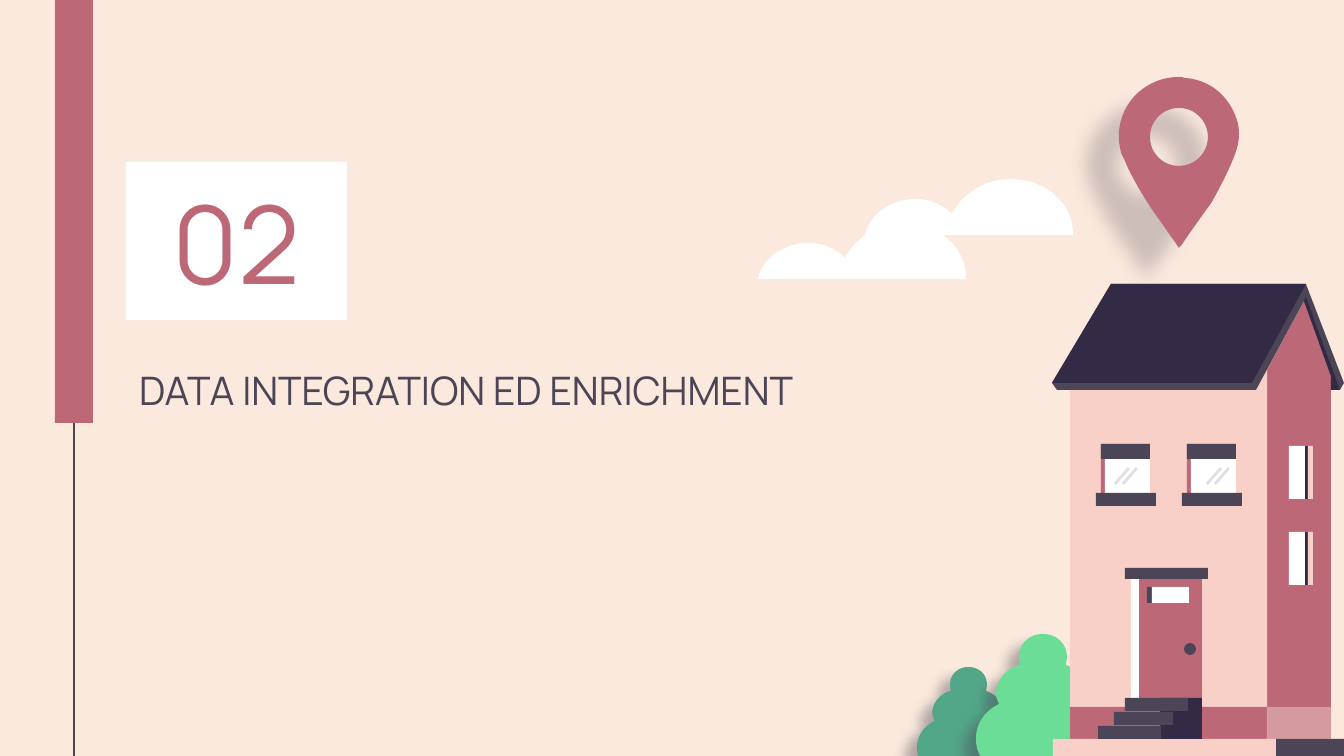
"""Build the section slide with a house, bushes, clouds and a map pin."""
from dataclasses import dataclass

from lxml import etree
from pptx import Presentation
from pptx.dml.color import RGBColor
from pptx.enum.shapes import MSO_CONNECTOR, MSO_SHAPE
from pptx.enum.text import MSO_ANCHOR, PP_ALIGN
from pptx.oxml.ns import qn
from pptx.util import Emu, Pt

RECT, OVAL = MSO_SHAPE.RECTANGLE, MSO_SHAPE.OVAL
STRAIGHT = MSO_CONNECTOR.STRAIGHT
TOP, MIDDLE = MSO_ANCHOR.TOP, MSO_ANCHOR.MIDDLE
LEFT, CENTER = PP_ALIGN.LEFT, PP_ALIGN.CENTER
EMU_PER_PX = 914400 / 134.4
TITLE_ONLY = 5
CURVE_STEPS = 12


@dataclass(frozen=True)
class Theme:
    """Colours, font and type sizes."""
    cream: str = "FAE9DC"
    rose: str = "BD6877"
    blush: str = "F9D0C8"
    slate: str = "4C4557"
    night: str = "332B45"
    white: str = "FFFFFF"
    pine: str = "53A789"
    mint: str = "6BDD96"
    font: str = "Manrope"
    title_size: int = 21
    number_size: int = 58


THEME = Theme()

BUSH = [(39, 143), (17, 143, 0, 125, 0, 105), (0, 89, 9, 77, 23, 70),
        (22, 67, 20, 63, 20, 60), (20, 46, 31, 34, 44, 31),
        (44, 28, 43, 26, 43, 23), (43, 9, 54, 0, 67, 0),
        (80, 0, 91, 9, 91, 23), (91, 26, 90, 28, 90, 31),
        (102, 35, 113, 47, 113, 60), (113, 63, 112, 67, 112, 70),
        (125, 77, 134, 89, 134, 105), (134, 125, 117, 143, 94, 143)]
CLOUD = [(208, 56), (208, 54), (208, 24, 180, 0, 145, 0),
         (120, 0, 97, 15, 87, 35), (78, 26, 65, 20, 51, 20),
         (25, 20, 4, 36, 0, 56)]
PIN = [(62, 0), (39, 0, 18, 13, 8, 33), (1, 48, 0, 63, 5, 78),
       (8, 83, 9, 87, 12, 93), (21, 111, 32, 129, 44, 145),
       (50, 154, 56, 162, 62, 171), (63, 170, 63, 169, 64, 169),
       (74, 154, 85, 139, 95, 125), (103, 110, 111, 96, 117, 80),
       (122, 68, 124, 56, 120, 43), (113, 20, 93, 2, 67, 1),
       (66, 0, 64, 0, 62, 0)]
PIN_HOLE = [(62, 31), (78, 31, 91, 44, 91, 60), (91, 76, 78, 89, 62, 89),
            (46, 89, 33, 76, 33, 60), (33, 44, 46, 31, 62, 31)]


def px(length):
    """Turn px into EMU."""
    return Emu(round(length * EMU_PER_PX))


def color(code):
    """Turn a hex code into a colour."""
    return RGBColor.from_string(code)


def paint(shape, fill, alpha=100):
    """Give a shape a plain fill, with no line or shadow."""
    shape.shadow.inherit = False
    shape.line.fill.background()
    shape.fill.solid()
    shape.fill.fore_color.rgb = color(fill)
    if alpha < 100:
        tone = next(shape._element.spPr.iter(qn("a:srgbClr")))
        etree.SubElement(tone, qn("a:alpha"), val=str(alpha * 1000))
    return shape


def block(slide, left, top, width, height, fill, alpha=100, preset=RECT):
    """Add a filled preset shape."""
    box = map(px, (left, top, width, height))
    return paint(slide.shapes.add_shape(preset, *box), fill, alpha)


def flatten(segments):
    """Turn points and cubic curves into a list of points."""
    points = []
    for segment in segments:
        if len(segment) == 2:
            points.append(segment)
            continue
        x0, y0 = points[-1]
        x1, y1, x2, y2, x3, y3 = segment
        for step in range(1, CURVE_STEPS + 1):
            t = step / CURVE_STEPS
            a, b, c, d = (1 - t) ** 3, 3 * t * (1 - t) ** 2, 3 * t * t * (1 - t), t ** 3
            points.append((a * x0 + b * x1 + c * x2 + d * x3,
                           a * y0 + b * y1 + c * y2 + d * y3))
    return points


def outline(slide, contours, fill, left=0, top=0, scale=1, alpha=100):
    """Add a filled freeform of one or more contours."""
    builder = None
    for contour in contours:
        start, *rest = [(px(left + x * scale), px(top + y * scale))
                        for x, y in flatten(contour)]
        if builder is None:
            builder = slide.shapes.build_freeform(*start, scale=1.0)
        else:
            builder.move_to(*start)
        builder.add_line_segments(rest, close=True)
    return paint(builder.convert_to_shape(), fill, alpha)


def cast_shadow(shape, alpha, blur, distance):
    """Add a soft shadow towards the lower left."""
    effects = shape._element.spPr.find(qn("a:effectLst"))
    shadow = etree.SubElement(effects, qn("a:outerShdw"), blurRad=str(Pt(blur)),
                              dist=str(Pt(distance)), dir=str(138 * 60000),
                              algn="bl", rotWithShape="0")
    tone = etree.SubElement(shadow, qn("a:srgbClr"), val=THEME.slate)
    etree.SubElement(tone, qn("a:alpha"), val=str(alpha * 1000))


def write(shape, words, size, ink, align, anchor):
    """Set and format the text of a shape."""
    frame = shape.text_frame
    frame.text = words
    frame.word_wrap = True
    frame.vertical_anchor = anchor
    frame.margin_left = frame.margin_right = px(13)
    frame.margin_top = frame.margin_bottom = px(13)
    paragraph = frame.paragraphs[0]
    paragraph.alignment = align
    font = paragraph.runs[0].font
    font.name, font.size, font.color.rgb = THEME.font, Pt(size), color(ink)


def add_side_bar(slide):
    """Add the thin line and the bar at the left."""
    stem = slide.shapes.add_connector(STRAIGHT, px(74), px(0), px(74), px(756))
    stem.line.color.rgb = color(THEME.slate)
    stem.line.width = Pt(0.75)
    etree.SubElement(stem._element.spPr, qn("a:effectLst"))
    block(slide, 55, 0, 38, 423, THEME.rose)


def add_heading(slide):
    """Add the title and the section number."""
    title = slide.shapes.title
    title.left, title.top, title.width, title.height = map(px, (126, 353, 738, 69))
    write(title, "DATA INTEGRATION ED ENRICHMENT", THEME.title_size,
          THEME.slate, LEFT, TOP)
    number = block(slide, 126, 162, 221, 158, THEME.white)
    write(number, "02", THEME.number_size, THEME.rose, CENTER, MIDDLE)


def add_front_window(slide, left, glint):
    """Add a front window with its blind, sill and two glints."""
    block(slide, left, 444, 49, 49, THEME.rose)
    block(slide, left + 4, 444, 45, 49, THEME.white)
    block(slide, left, 444, 49, 15, THEME.slate)
    block(slide, left - 5, 493, 60, 13, THEME.slate)
    for offset in (glint, glint + 8):
        outline(slide, [[(0, 16), (14, 0), (16, 2), (2, 18)]], THEME.slate,
                left + offset, 467, alpha=17)


def add_side_window(slide, top):
    """Add a window on the side wall."""
    for left, fill in ((1289, THEME.white), (1305, THEME.night), (1308, THEME.blush)):
        block(slide, left, top, 1313 - left, 53, fill)


def add_door(slide):
    """Add the door with its frame, pane, knob and steps."""
    block(slide, 1131, 579, 71, 120, THEME.white)
    block(slide, 1139, 579, 63, 120, THEME.rose)
    block(slide, 1147, 587, 42, 16, THEME.slate)
    block(slide, 1152, 587, 37, 16, THEME.white)
    block(slide, 1125, 568, 83, 11, THEME.slate)
    block(slide, 1184, 643, 12, 12, THEME.slate, preset=OVAL)
    block(slide, 1160, 698, 42, 41, THEME.night)
    for left, top, width in ((1098, 726, 63), (1114, 712, 59), (1125, 698, 63)):
        block(slide, left, top, width, 13, THEME.slate)


def add_roof(slide):
    """Add the roof edge, its slope and the far gable."""
    edge = [(1344, 383), (1306, 284), (1111, 284), (1052, 383), (1057, 390),
            (1256, 390), (1304, 301), (1336, 390), (1340, 390)]
    slope = [(1306, 284), (1111, 284), (1052, 383), (1252, 383)]
    gable = [(1340, 390), (1306, 297), (1304, 301), (1331, 376), (1331, 390)]
    for contour, fill in ((edge, THEME.slate), (slope, THEME.night), (gable, THEME.night)):
        outline(slide, [contour], fill)


def add_house(slide):
    """Add the walls, openings, ground and roof."""
    side = [(1304, 301), (1267, 370), (1267, 756), (1331, 756), (1331, 376)]
    front = [(1070, 756), (1267, 756), (1267, 289), (1125, 289), (1070, 375)]
    outline(slide, [side], THEME.rose)
    outline(slide, [front], THEME.blush)
    block(slide, 1070, 707, 197, 49, THEME.rose)
    block(slide, 1267, 707, 64, 49, THEME.cream, alpha=39)
    block(slide, 1053, 739, 291, 20, THEME.blush)
    block(slide, 1276, 739, 68, 20, THEME.slate)
    add_door(slide)
    for left, glint in ((1101, 13), (1187, 19)):
        add_front_window(slide, left, glint)
    for top in (446, 532):
        add_side_window(slide, top)
    add_roof(slide)


def main():
    """Build and save the slide."""
    deck = Presentation()
    deck.slide_width, deck.slide_height = px(1344), px(756)
    slide = deck.slides.add_slide(deck.slide_layouts[TITLE_ONLY])
    slide.background.fill.solid()
    slide.background.fill.fore_color.rgb = color(THEME.cream)
    add_side_bar(slide)
    add_heading(slide)
    for left, top, scale, leaf in ((917, 667, 0.77, THEME.pine), (976, 634, 1, THEME.mint)):
        cast_shadow(outline(slide, [BUSH], leaf, left, top, scale), 41, 6.8, 8.2)
    add_house(slide)
    cast_shadow(outline(slide, [PIN, PIN_HOLE], THEME.rose, 1117, 77), 25, 10.1, 23.2)
    for left, top in ((865, 179), (758, 223)):
        outline(slide, [CLOUD], THEME.white, left, top)
    deck.save("out.pptx")


if __name__ == "__main__":
    main()
